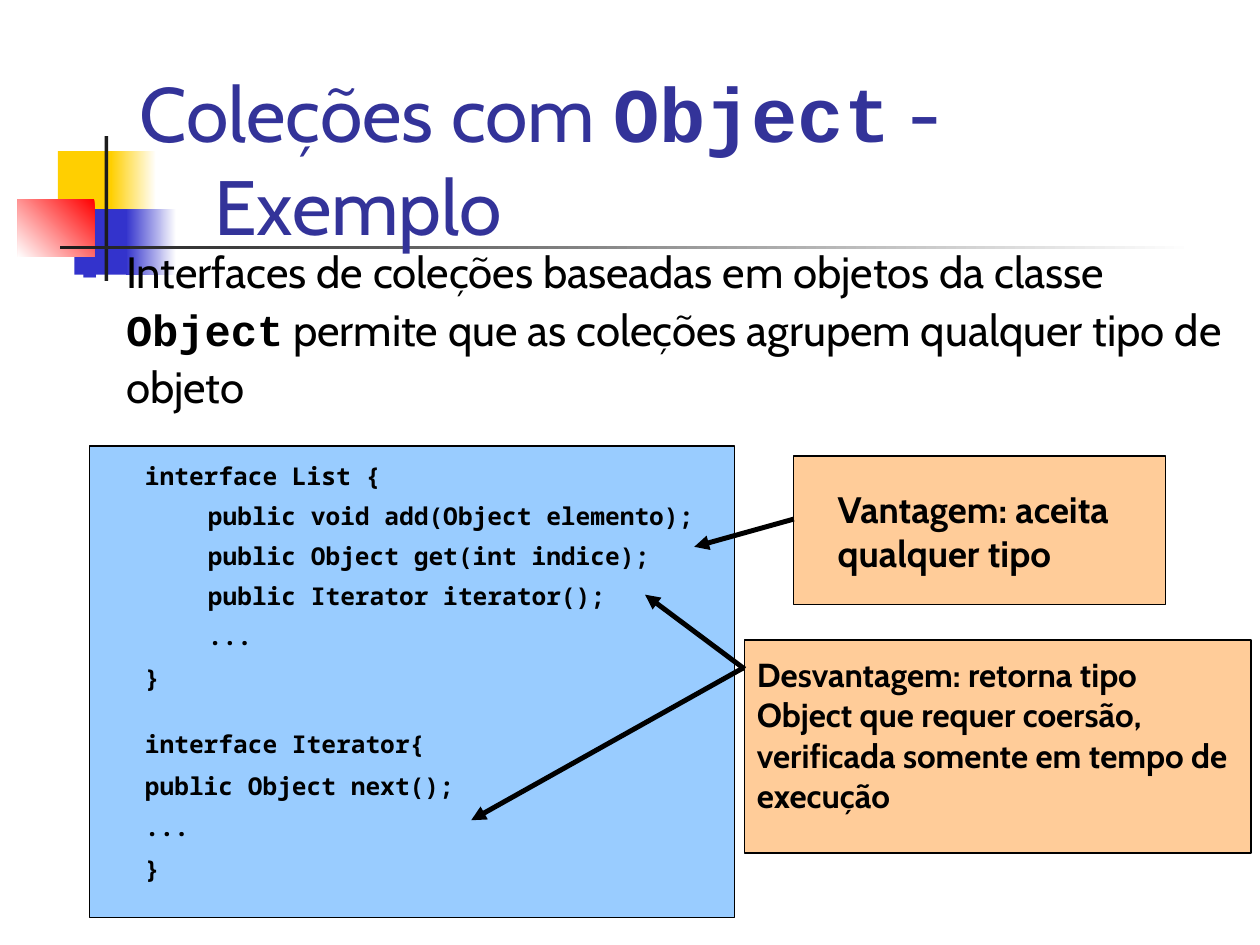
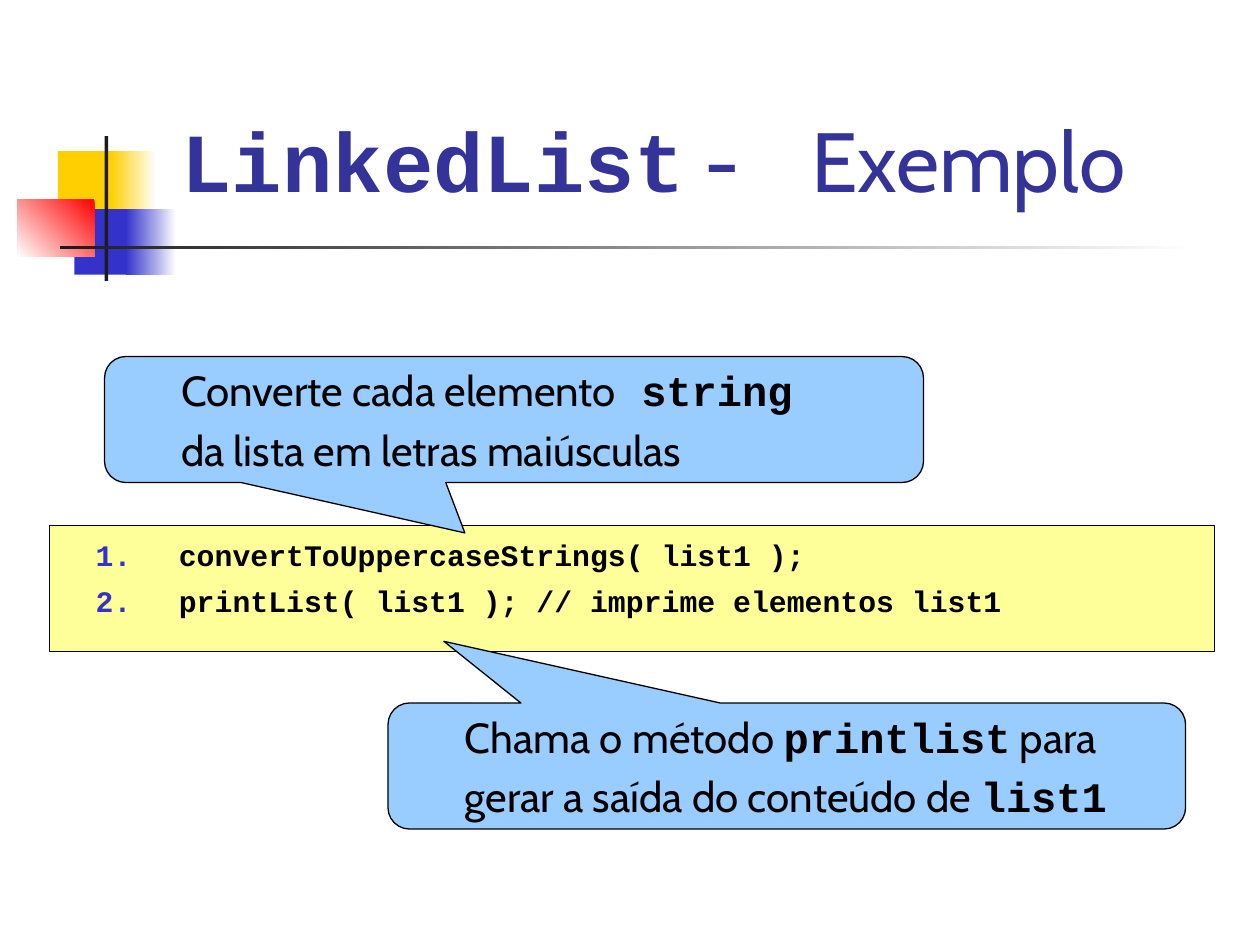
import lxml.etree
import pptx
import pptx.dml.color
import pptx.enum.shapes
import pptx.enum.text
import pptx.oxml.ns
import pptx.util

Inches = pptx.util.Inches
Pt = pptx.util.Pt
Preset = pptx.enum.shapes.MSO_SHAPE
Anchor = pptx.enum.text.MSO_ANCHOR
qn = pptx.oxml.ns.qn

BLACK, BLUE, INDIGO, DARK, WHITE = "000000", "3333CC", "333399", "1C1C1C", "FFFFFF"
YELLOW, SKY, PEACH, CREAM = "FFCF01", "99CCFF", "FFCC99", "FFFF99"
SQUARE = [("buClr", BLUE), ("buSzPct", "60000"), ("buChar", "■")]
NUMBER = [("buClr", BLUE), ("buAutoNum", "arabicPeriod")]
PLAIN = [("buNone", None)]


def color(hex_value):
    return pptx.dml.color.RGBColor.from_string(hex_value)


def write(para, spans, size, name="Cabin", bold=False, fill=BLACK,
          spacing=1.01, before=0, left=0, indent=0, bullet=PLAIN):
    properties = para._p.get_or_add_pPr()
    properties.set("marL", str(Inches(left)))
    properties.set("indent", str(Inches(indent)))
    for tag, value in bullet:
        element = lxml.etree.SubElement(properties, qn("a:" + tag))
        if tag == "buClr":
            lxml.etree.SubElement(element, qn("a:srgbClr")).set("val", value)
        elif value:
            attribute = {"buChar": "char", "buAutoNum": "type"}.get(tag, "val")
            element.set(attribute, value)
    para.alignment = pptx.enum.text.PP_ALIGN.LEFT
    para.line_spacing = spacing
    para.space_before = Pt(before)
    para.font.size = Pt(size)
    para.font.name = name
    para.font.bold = bold
    para.font.color.rgb = color(fill)
    for position, text in enumerate(spans):
        span = para.add_run()
        span.text = text
        if position % 2:
            span.font.name = "Courier New"
            span.font.bold = True


deck = pptx.Presentation()
deck.slide_width, deck.slide_height = Inches(10), Inches(7.5)
layout = deck.slide_layouts[1]
collections_page = deck.slides.add_slide(layout)
linked_page = deck.slides.add_slide(layout)

ornaments = [
    ((0.46, 1.2, 0.48, 0.52), [YELLOW], 0),
    ((0.88, 1.2, 0.36, 0.52), [WHITE, YELLOW], 180),
    ((0.59, 1.66, 0.46, 0.52), [BLUE], 0),
    ((1, 1.66, 0.4, 0.52), [WHITE, BLUE], 180),
    ((0.14, 1.58, 0.61, 0.46), ["FF0000", WHITE], 225),
    ((0.83, 1.08, 0.03, 1.15), [DARK], 0),
    ((0.48, 1.95, 9, 0.03), [WHITE, DARK], 180),
]
for place, fills, angle in ornaments:
    ornament = collections_page.shapes.add_shape(Preset.RECTANGLE, *map(Inches, place))
    ornament.shadow.inherit = False
    ornament.line.fill.background()
    if len(fills) == 1:
        ornament.fill.solid()
        ornament.fill.fore_color.rgb = color(fills[0])
    else:
        ornament.fill.gradient()
        ornament.fill.gradient_angle = angle
        for stop, fill in zip(ornament.fill.gradient_stops, fills):
            stop.color.rgb = color(fill)
    layout.shapes.element.append(ornament.element)

frames = []
for page, title_place, body_place in [
    (collections_page, (0.5, 0.46, 9, 1.59), (0.55, 1.85, 9.45, 5.59)),
    (linked_page, (1.34, 0.8, 8.25, 0.91), (0.66, 4.2, 9.1, 0.76)),
]:
    for holder, place in zip(page.placeholders, (title_place, body_place)):
        holder.left, holder.top, holder.width, holder.height = map(Inches, place)
        frame = holder.text_frame
        frame.auto_size = pptx.enum.text.MSO_AUTO_SIZE.NONE
        frame.word_wrap = True
        frames.append(frame)
    frames[-2].vertical_anchor = Anchor.MIDDLE
    frames[-1].vertical_anchor = Anchor.TOP
collections_title, collections_body, linked_title, linked_body = frames

panels = [
    (collections_page, Preset.RECTANGLE, (0.71, 3.54, 5.12, 3.74), SKY, []),
    (collections_page, Preset.RECTANGLE, (6.3, 3.62, 2.95, 1.18), PEACH, []),
    (collections_page, Preset.RECTANGLE, (5.91, 5.08, 4.02, 1.69), PEACH, []),
    (linked_page, Preset.RECTANGLE, (0.39, 4.17, 9.25, 1), CREAM, []),
    (linked_page, Preset.ROUNDED_RECTANGULAR_CALLOUT, (0.83, 2.83, 6.5, 1), SKY,
     [-0.06, 0.9, 0.17]),
    (linked_page, Preset.ROUNDED_RECTANGULAR_CALLOUT, (3.08, 5.58, 6.33, 1), SKY,
     [-0.43, -0.99, 0.17]),
]
boxes = []
for page, preset, place, fill, adjustments in panels:
    box = page.shapes.add_shape(preset, *map(Inches, place))
    box.shadow.inherit = False
    box.fill.solid()
    box.fill.fore_color.rgb = color(fill)
    box.line.color.rgb = color(BLACK)
    box.line.width = Pt(0.75)
    for position, value in enumerate(adjustments):
        box.adjustments[position] = value
    box.text_frame.word_wrap = True
    box.text_frame.vertical_anchor = Anchor.MIDDLE
    boxes.append(box)
list_panel, advantage, drawback, calls_panel, convert_note, print_note = boxes
for page, panel in ((collections_page, list_panel), (linked_page, calls_panel)):
    page.shapes.element.insert(2, panel.element)

para = collections_title.paragraphs[0]
write(para, ["Coleções com ", "Object", " -"], 44, fill=INDIGO, left=1.1, indent=-0.59)
para.add_line_break()
para.add_run().text = "Exemplo"

write(collections_body.paragraphs[0],
      ["Interfaces de coleções baseadas em objetos da classe ", "Object",
       " permite que as coleções agrupem qualquer tipo de objeto"],
      25, spacing=1.1, left=0.35, indent=-0.35, bullet=SQUARE)
code_lines = [
    ("interface List {", 0.5, 28),
    ("public void add(Object elemento);", 1, 6),
    ("public Object get(int indice);", 1, 6),
    ("public Iterator iterator();", 1, 6),
    ("...", 1, 6),
    ("}", 0.5, 7),
    ("interface Iterator{", 0.5, 21),
    ("public Object next();", 0.5, 7),
    ("...", 0.5, 7),
    ("}", 0.5, 7),
]
for text, left, before in code_lines:
    write(collections_body.add_paragraph(), [text], 14, "Noto Sans Mono", True,
          spacing=1.0, before=before, left=left)

drawback_text = collections_page.shapes.add_textbox(*map(Inches, (5.91, 5.14, 3.94, 1.38)))
drawback_text.text_frame.word_wrap = True
write(drawback_text.text_frame.paragraphs[0],
      ["Desvantagem: retorna tipo Object que requer coersão, "
       "verificada somente em tempo de execução"], 19, bold=True)

write(advantage.text_frame.paragraphs[0], ["Vantagem: aceita"], 21, bold=True, left=0.25)
write(advantage.text_frame.add_paragraph(), ["qualquer tipo"], 21, bold=True, left=0.25)

for ends in [(5.51, 4.34, 6.3, 4.12), (5.12, 4.72, 5.91, 5.31), (3.74, 6.51, 5.9, 5.3)]:
    arrow = collections_page.shapes.add_connector(
        pptx.enum.shapes.MSO_CONNECTOR.STRAIGHT, *map(Inches, ends))
    arrow.line.color.rgb = color(BLACK)
    arrow.line.width = Pt(2.83)
    outline = arrow.line._get_or_add_ln()
    lxml.etree.SubElement(outline, qn("a:headEnd")).set("type", "triangle")
    lxml.etree.SubElement(arrow.element.spPr, qn("a:effectLst"))

para = linked_title.paragraphs[0]
tabs = lxml.etree.Element(qn("a:tabLst"))
lxml.etree.SubElement(tabs, qn("a:tab"), pos=str(Inches(5.21)), algn="l")
para._p.get_or_add_pPr().append(tabs)
write(para, ["", "LinkedList", " - \tExemplo"], 48, fill=INDIGO, bullet=[])

calls = ["convertToUppercaseStrings( list1 );", "printList( list1 ); // imprime elementos list1"]
for position, text in enumerate(calls):
    para = linked_body.add_paragraph() if position else linked_body.paragraphs[0]
    write(para, [text], 17, "Courier New", True, spacing=1.04, before=5.1 * position,
          left=0.66, indent=-0.66, bullet=NUMBER)

notes = [
    (convert_note, [["Converte cada elemento", " string"], ["da lista em letras maiúsculas"]]),
    (print_note, [["Chama o método ", "printlist", " para"],
                  ["gerar a saída do conteúdo de ", "list1"]]),
]
for note, lines in notes:
    for position, spans in enumerate(lines):
        frame = note.text_frame
        para = frame.add_paragraph() if position else frame.paragraphs[0]
        write(para, spans, 24, before=5.1 * position, left=0.46)

deck.save("out.pptx")
